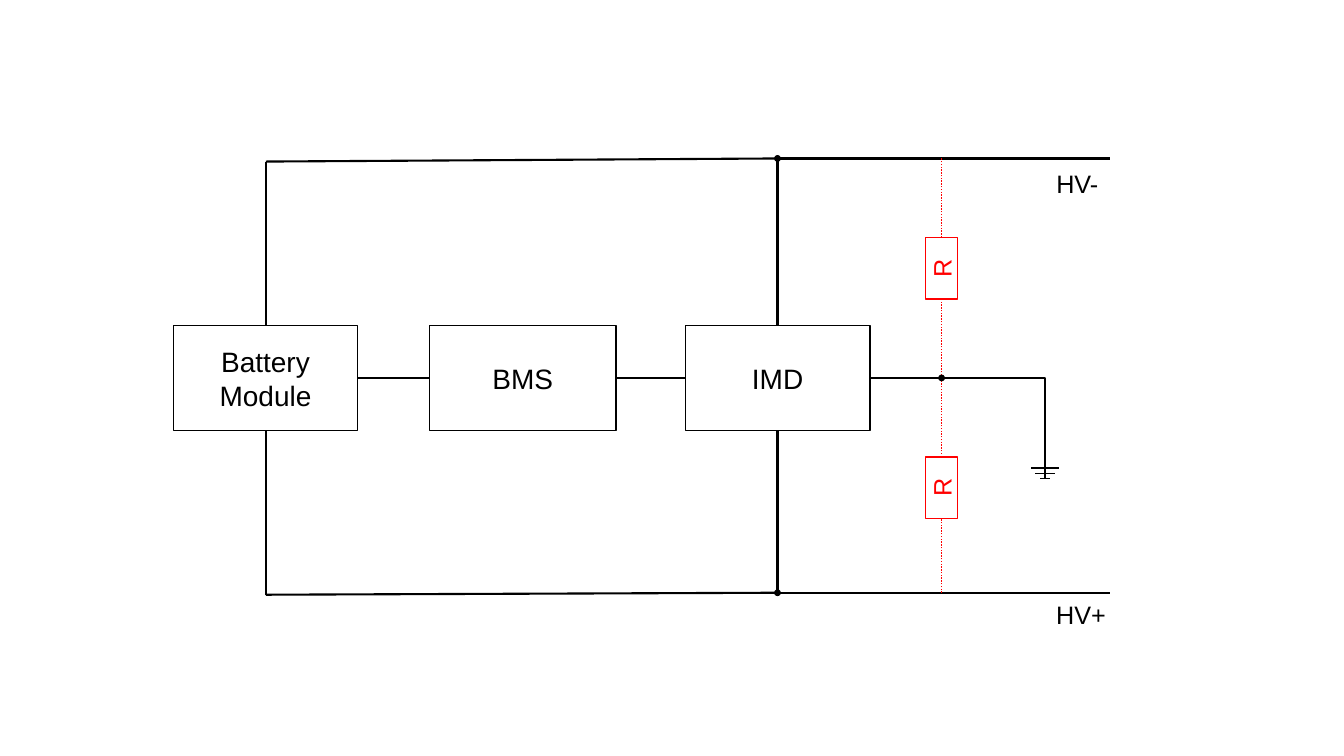
from lxml import etree
from pptx import Presentation
from pptx.dml.color import RGBColor
from pptx.enum.dml import MSO_LINE_DASH_STYLE as DASH
from pptx.enum.shapes import MSO_CONNECTOR as WIRE, MSO_SHAPE as SHAPE
from pptx.enum.text import MSO_ANCHOR, MSO_AUTO_SIZE, PP_ALIGN
from pptx.oxml.ns import qn
from pptx.util import Pt

BLACK, WHITE, RED = "000000", "FFFFFF", "FF0000"
FONT = "Arial"

# Key lines of the circuit, in points
BATTERY_X, IMD_X, FAULT_X, GROUND_X, RAIL_END = 190, 555.4, 672.6, 746.5, 792.8
HV_MINUS_Y, MIDDLE_Y, HV_PLUS_Y = 113.2, 270, 423.4
MODULE_TOP, MODULE_HEIGHT = 232.4, 75.2
MODULE_BOTTOM = MODULE_TOP + MODULE_HEIGHT
RESISTOR_LENGTH, RESISTOR_WIDTH = 44, 23
DOT = 3.8

MODULES = [("Battery\nModule", 123.8, 131.8), ("BMS", 306.8, 133.2), ("IMD", 489.6, 131.8)]
RESISTOR_CENTRES = [191.6, 348.4]
RAIL_LABELS = [("HV-", 116.6, 44.6), ("HV+", 424.8, 50.4)]
JUNCTIONS = [(IMD_X, HV_MINUS_Y), (IMD_X, HV_PLUS_Y), (FAULT_X, MIDDLE_Y)]
GROUND_BARS = [(334.2, 19.4), (338.2, 13.8), (342, 6.6)]
# Outer rail height at the battery, rail height at the IMD, edge of the modules
RAILS = [(115.4, HV_MINUS_Y, MODULE_TOP), (424.8, HV_PLUS_Y, MODULE_BOTTOM)]

prs = Presentation()
prs.slide_width, prs.slide_height = Pt(960), Pt(540)
slide = prs.slides.add_slide(prs.slide_layouts[6])
shapes = slide.shapes


def rgb(value):
    return RGBColor.from_string(value)


def write(shape, text, size, color, align):
    frame = shape.text_frame
    frame.text = text
    for paragraph in frame.paragraphs:
        paragraph.alignment = align
        for run in paragraph.runs:
            run.font.name, run.font.size = FONT, Pt(size)
            run.font.color.rgb = rgb(color)


def add_solid(kind, x, y, width, height, fill, line):
    solid = shapes.add_shape(kind, Pt(x), Pt(y), Pt(width), Pt(height))
    solid.shadow.inherit = False
    solid.fill.solid()
    solid.fill.fore_color.rgb = rgb(fill)
    solid.line.color.rgb = rgb(line)
    solid.line.width = Pt(1)
    return solid


def add_wire(x1, y1, x2, y2, color=BLACK, width=1.5, kind=WIRE.STRAIGHT):
    wire = shapes.add_connector(kind, Pt(x1), Pt(y1), Pt(x2), Pt(y2))
    wire.line.color.rgb = rgb(color)
    wire.line.width = Pt(width)
    etree.SubElement(wire._element.spPr, qn("a:effectLst"))
    return wire


for name, left, width in MODULES:
    module = add_solid(SHAPE.RECTANGLE, left, MODULE_TOP, width, MODULE_HEIGHT, WHITE, BLACK)
    module.text_frame.vertical_anchor = MSO_ANCHOR.MIDDLE
    write(module, name, 20, BLACK, PP_ALIGN.CENTER)

# Wires between neighbouring modules, and from the IMD to the fault branch
module_rights = [left + width for _, left, width in MODULES]
next_lefts = [left for _, left, _ in MODULES[1:]] + [FAULT_X]
for start, end in zip(module_rights, next_lefts):
    add_wire(start, MIDDLE_Y, end, MIDDLE_Y)

for battery_y, rail_y, module_edge in RAILS:
    add_wire(BATTERY_X, battery_y, BATTERY_X, module_edge)
    add_wire(BATTERY_X, battery_y, IMD_X, rail_y)
    add_wire(IMD_X, rail_y, IMD_X, module_edge)
    add_wire(IMD_X, rail_y, RAIL_END, rail_y)

# Dotted fault branch, broken by the resistors
half = RESISTOR_LENGTH / 2
branch_ys = [HV_MINUS_Y, MIDDLE_Y, HV_PLUS_Y]
for centre, top, bottom in zip(RESISTOR_CENTRES, branch_ys, branch_ys[1:]):
    for start, end in [(top, centre - half), (centre + half, bottom)]:
        add_wire(FAULT_X, end, FAULT_X, start, RED, 1).line.dash_style = DASH.ROUND_DOT
    resistor = add_solid(SHAPE.RECTANGLE, FAULT_X - half, centre - RESISTOR_WIDTH / 2,
                         RESISTOR_LENGTH, RESISTOR_WIDTH, WHITE, RED)
    resistor.rotation = 270
    resistor.text_frame.vertical_anchor = MSO_ANCHOR.MIDDLE
    write(resistor, "R", 18, RED, PP_ALIGN.CENTER)

for x, y in JUNCTIONS:
    add_solid(SHAPE.OVAL, x - DOT / 2, y - DOT / 2, DOT, DOT, BLACK, BLACK)

# The ground wire turns down at its far end
ground = add_wire(FAULT_X, MIDDLE_Y, GROUND_X, GROUND_BARS[-1][0], kind=WIRE.ELBOW)
adjustments = ground._element.spPr.find(qn("a:prstGeom")).find(qn("a:avLst"))
etree.SubElement(adjustments, qn("a:gd"), name="adj1", fmla="val 100000")
for y, length in GROUND_BARS:
    add_wire(GROUND_X - length / 2, y, GROUND_X + length / 2, y, width=1)

for name, top, width in RAIL_LABELS:
    label = shapes.add_textbox(Pt(747.4), Pt(top), Pt(width), Pt(29))
    label.text_frame.word_wrap = False
    label.text_frame.auto_size = MSO_AUTO_SIZE.SHAPE_TO_FIT_TEXT
    write(label, name, 18, BLACK, PP_ALIGN.LEFT)

prs.save("out.pptx")
